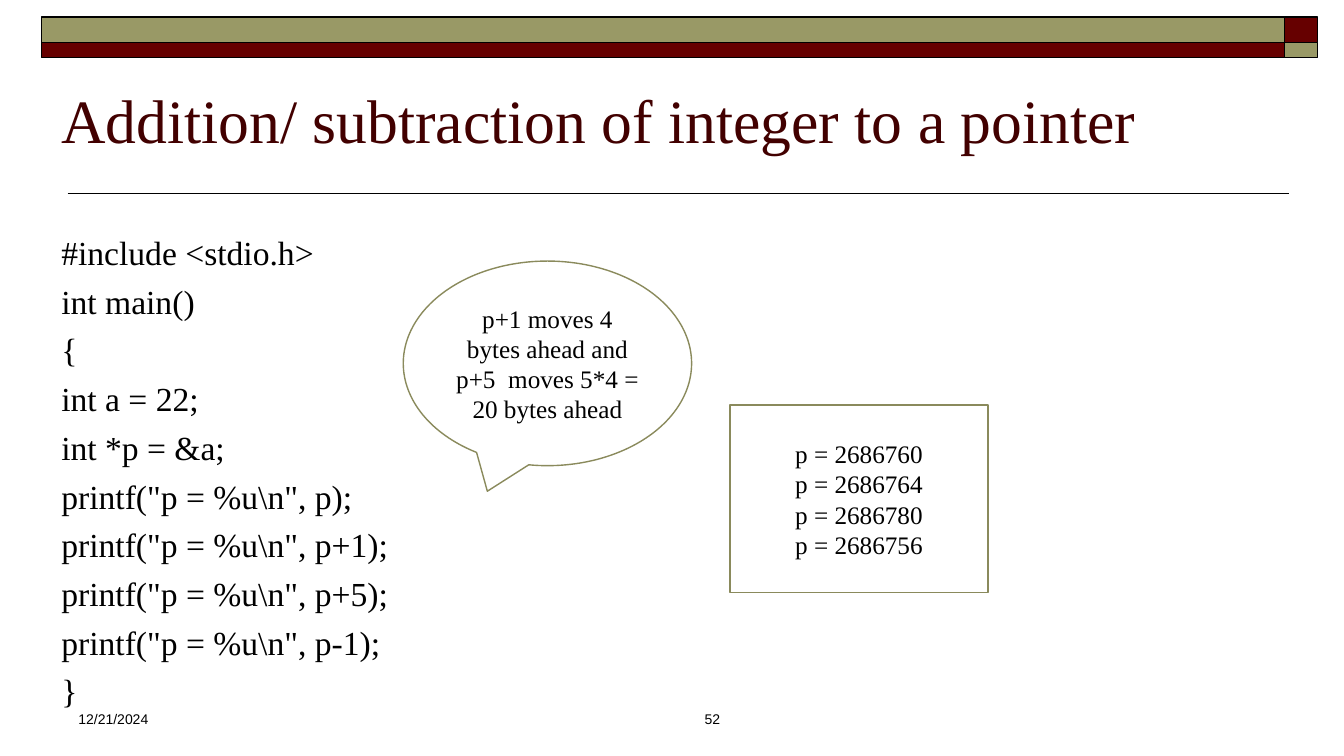
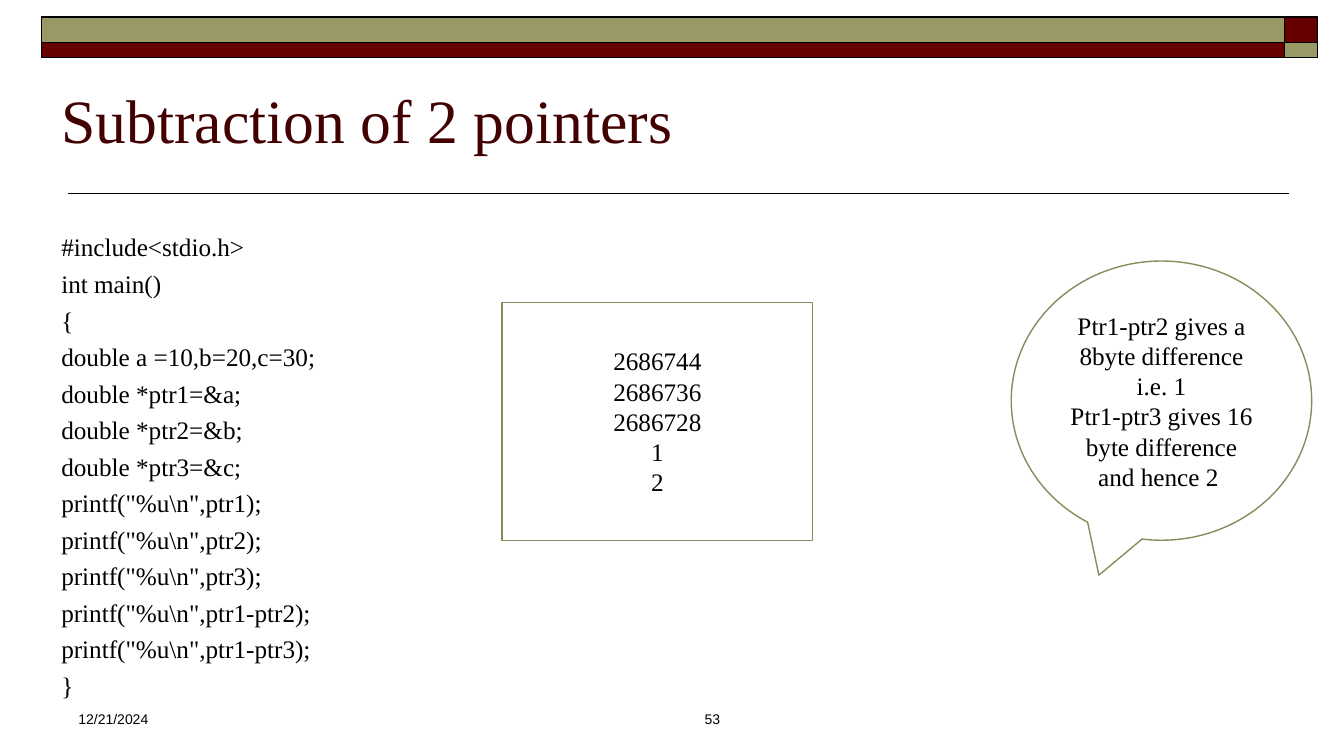
from lxml import etree
from pptx import Presentation
from pptx.dml.color import RGBColor
from pptx.enum.shapes import MSO_CONNECTOR, MSO_SHAPE
from pptx.enum.text import MSO_ANCHOR, MSO_AUTO_SIZE, PP_ALIGN
from pptx.oxml.ns import qn
from pptx.util import Inches, Pt

RECTANGLE = MSO_SHAPE.RECTANGLE
PROCESS = MSO_SHAPE.FLOWCHART_PROCESS
CALLOUT = MSO_SHAPE.OVAL_CALLOUT
STRAIGHT = MSO_CONNECTOR.STRAIGHT
LEFT, CENTER, RIGHT = PP_ALIGN.LEFT, PP_ALIGN.CENTER, PP_ALIGN.RIGHT
TOP, MIDDLE, BOTTOM = MSO_ANCHOR.TOP, MSO_ANCHOR.MIDDLE, MSO_ANCHOR.BOTTOM

COLORS = {
    "maroon": "660000",
    "olive": "999966",
    "outline": "8A8A5C",
    "title": "420000",
    "text": "000000",
    "paper": "FFFFFF",
}
SERIF, SANS = "Times New Roman", "Arial"
TITLE_ONLY = 5

BAND_COLUMNS = ((0.41, 12.33), (12.74, 0.33))
BAND_ROWS = ((0.17, 0.25), (0.42, 0.15))
TITLE_BOX = (0.51, 0.35, 12, 1.25)
CODE_BOX = (0.51, 2.25, 12, 4.57)
DATE_BOX = (0.68, 7, 2.44, 0.5)
NUMBER_BOX = (4.46, 7, 2.78, 0.5)

POINTER_CODE = r"""#include <stdio.h>
int main()
{
int a = 22;
int *p = &a;
printf("p = %u\n", p);
printf("p = %u\n", p+1);
printf("p = %u\n", p+5);
printf("p = %u\n", p-1);
}"""
DIFFERENCE_CODE = r"""#include<stdio.h>
int main()
{
double a =10,b=20,c=30;
double *ptr1=&a;
double *ptr2=&b;
double *ptr3=&c;
printf("%u\n",ptr1);
printf("%u\n",ptr2);
printf("%u\n",ptr3);
printf("%u\n",ptr1-ptr2);
printf("%u\n",ptr1-ptr3);
}"""


def color(name):
    return RGBColor.from_string(COLORS[name])


def inches(box):
    return [Inches(length) for length in box]


def write_text(shape, text, size=18, font=SERIF, ink="text", align=LEFT,
               anchor=TOP, space_before=0):
    """Fill the shape with one paragraph for each line of text."""
    frame = shape.text_frame
    frame.word_wrap = True
    frame.auto_size = MSO_AUTO_SIZE.NONE
    frame.vertical_anchor = anchor
    frame.text = text
    for paragraph in frame.paragraphs:
        paragraph.alignment = align
        paragraph.space_before = Pt(space_before)
        paragraph.font.size = Pt(size)
        paragraph.font.name = font
        paragraph.font.color.rgb = color(ink)


def add_text(slide, box, text, **text_format):
    write_text(slide.shapes.add_textbox(*inches(box)), text, **text_format)


def add_box(slide, kind, box, fill="paper", line="outline"):
    shape = slide.shapes.add_shape(kind, *inches(box))
    shape.shadow.inherit = False
    shape.fill.solid()
    shape.fill.fore_color.rgb = color(fill)
    shape.line.color.rgb = color(line)
    shape.line.width = Pt(1)
    return shape


def add_note(slide, kind, box, text):
    write_text(add_box(slide, kind, box), text, align=CENTER, anchor=MIDDLE)


def add_rule(slide, left, right, top):
    rule = slide.shapes.add_connector(STRAIGHT, *inches((left, top, right, top)))
    rule.line.color.rgb = color("text")
    rule.line.width = Pt(1)
    etree.SubElement(rule.element.spPr, qn("a:effectLst"))


def add_bands(slide):
    """Draw the two-row header, whose colours swap in the corner column."""
    fills = ("olive", "maroon")
    for column, (left, width) in enumerate(BAND_COLUMNS):
        for row, (top, height) in enumerate(BAND_ROWS):
            add_box(slide, RECTANGLE, (left, top, width, height),
                    fill=fills[(row + column) % 2], line="text")


def add_code(slide, code, size):
    add_text(slide, CODE_BOX, code, size=size, space_before=size / 4)


def add_slide(presentation, title, number):
    """Add a slide with the shared header, title, rule and footer."""
    slide = presentation.slides.add_slide(presentation.slide_layouts[TITLE_ONLY])
    add_bands(slide)
    add_rule(slide, 0.67, 12.78, 1.92)
    heading = slide.shapes.title
    heading.left, heading.top, heading.width, heading.height = inches(TITLE_BOX)
    write_text(heading, title, size=44, ink="title", anchor=BOTTOM)
    add_text(slide, DATE_BOX, "12/21/2024", size=10, font=SANS)
    add_text(slide, NUMBER_BOX, str(number), size=10, font=SANS, align=RIGHT)
    return slide


def build_addition_slide(presentation):
    slide = add_slide(presentation, "Addition/ subtraction of integer to a pointer", 52)
    add_code(slide, POINTER_CODE, size=24)
    addresses = (2686760, 2686764, 2686780, 2686756)
    add_note(slide, RECTANGLE, (7.24, 4.02, 2.56, 1.86),
             "\n".join(f"p = {address}" for address in addresses))
    add_note(slide, CALLOUT, (4, 2.59, 2.86, 2.03),
             "p+1 moves 4 bytes ahead and p+5  moves 5*4 = 20 bytes ahead")


def build_subtraction_slide(presentation):
    slide = add_slide(presentation, "Subtraction of 2 pointers", 53)
    add_code(slide, DIFFERENCE_CODE, size=18)
    add_note(slide, PROCESS, (4.98, 3, 3.08, 2.36),
             "2686744\n2686736\n2686728\n1\n2")
    add_note(slide, CALLOUT, (10.03, 2.59, 2.98, 2.77),
             "Ptr1-ptr2 gives a 8byte difference i.e. 1\n"
             "Ptr1-ptr3 gives 16 byte difference and hence 2 ")


def main():
    presentation = Presentation()
    presentation.slide_width = Inches(13.33)
    presentation.slide_height = Inches(7.5)
    build_addition_slide(presentation)
    build_subtraction_slide(presentation)
    presentation.save("out.pptx")


if __name__ == "__main__":
    main()
